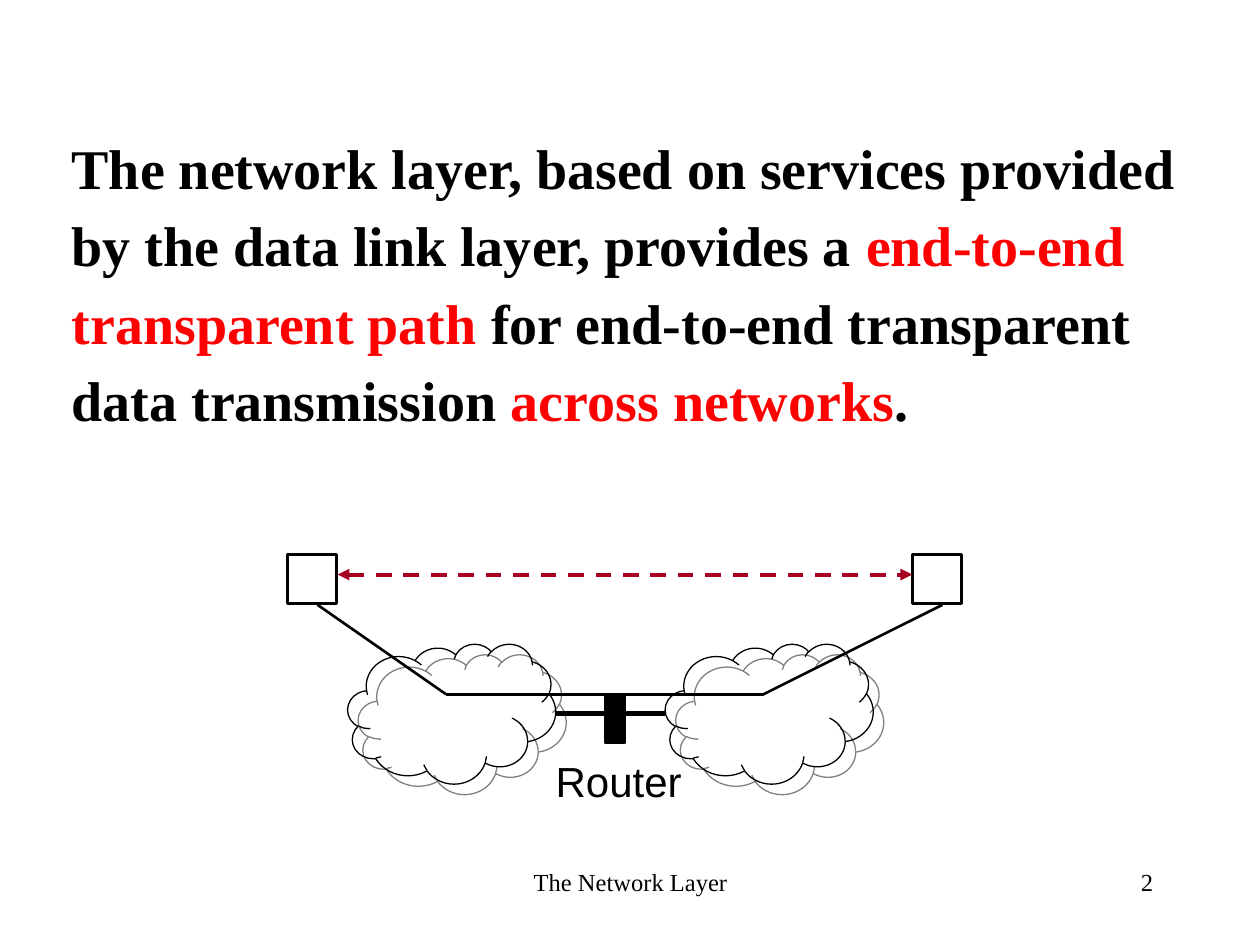
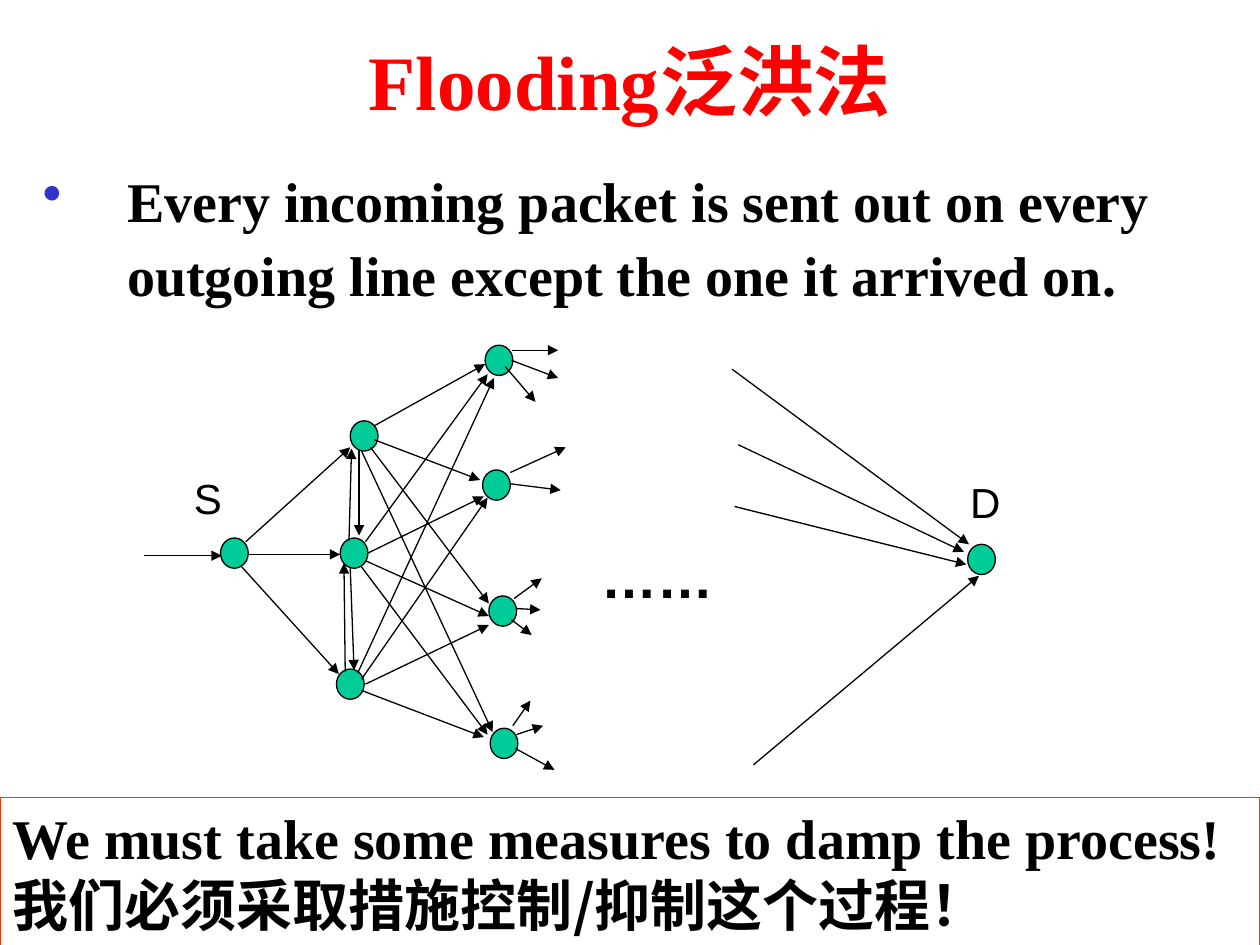
from itertools import pairwise

from lxml.etree import SubElement
from pptx import Presentation
from pptx.dml.color import RGBColor
from pptx.enum.dml import MSO_LINE
from pptx.enum.shapes import MSO_CONNECTOR, MSO_SHAPE
from pptx.enum.text import MSO_ANCHOR, MSO_AUTO_SIZE, PP_ALIGN
from pptx.oxml.ns import qn
from pptx.util import Inches, Pt

COLORS = {
    "black": "000000",
    "white": "FFFFFF",
    "red": "FF0000",
    "crimson": "A50021",
    "orange": "FF3300",
    "node": "00CC99",
    "bullet": "3333CC",
    "shadow": "808080",
}
SERIF, SANS, CHINESE = "Times New Roman", "Arial", "Noto Sans CJK SC"
TITLE_ONLY, BLANK = 5, 6


def rgb(name):
    return RGBColor.from_string(COLORS[name])


def add_span(para, text, size, color="black", font=SERIF, bold=False):
    span = para.add_run()
    span.text = text
    span.font.size = Pt(size)
    span.font.name = font
    span.font.bold = bold
    span.font.color.rgb = rgb(color)
    east_asian = SubElement(span.font._element, qn("a:ea"))
    east_asian.set("typeface", CHINESE)


def add_text(page, box, spans, align=PP_ALIGN.LEFT, spacing=None, wrap=True):
    """Add a one-paragraph text box; each span is a tuple of add_span arguments."""
    frame = page.shapes.add_textbox(*map(Inches, box)).text_frame
    frame.word_wrap = wrap
    para = frame.paragraphs[0]
    para.alignment = align
    if spacing:
        para.line_spacing = spacing
    for span in spans:
        add_span(para, *span)
    return para


def add_label(page, box, text, size=24, bold=False):
    add_text(page, box, [(text, size, "black", SANS, bold)], PP_ALIGN.CENTER, wrap=False)


def add_outline(page, kind, box, fill=None, line="black", width=0.75):
    shape = page.shapes.add_shape(kind, *map(Inches, box))
    shape.shadow.inherit = False
    if fill:
        shape.fill.solid()
        shape.fill.fore_color.rgb = rgb(fill)
    else:
        shape.fill.background()
    shape.line.color.rgb = rgb(line)
    shape.line.width = Pt(width)
    return shape


def add_line(page, start, end, width=0.75, color="black", arrows=()):
    """Draw a straight line; arrows may name headEnd (start) and tailEnd (end)."""
    line = page.shapes.add_connector(MSO_CONNECTOR.STRAIGHT, *map(Inches, (*start, *end)))
    line.line.color.rgb = rgb(color)
    line.line.width = Pt(width)
    properties = line._element.spPr
    for arrow in arrows:
        SubElement(properties.find(qn("a:ln")), qn(f"a:{arrow}")).set("type", "triangle")
    SubElement(properties, qn("a:effectLst"))
    return line


def add_cloud(page, box):
    cloud = add_outline(page, MSO_SHAPE.CLOUD, box)
    effects = cloud._element.spPr.find(qn("a:effectLst"))
    shadow = SubElement(effects, qn("a:outerShdw"), dist=str(Pt(8.5)), dir="2700000",
                        algn="ctr", rotWithShape="0")
    SubElement(shadow, qn("a:srgbClr"), val=COLORS["shadow"])


def add_footer(page, text, number):
    add_text(page, (3.42, 6.83, 3.17, 0.5), [(text, 14)], PP_ALIGN.CENTER)
    add_text(page, (7.17, 6.83, 2.08, 0.5), [(number, 14)], PP_ALIGN.RIGHT)


def add_title(page, box, text):
    title = page.shapes.title
    title.left, title.top, title.width, title.height = map(Inches, box)
    title.text_frame.vertical_anchor = MSO_ANCHOR.MIDDLE
    para = title.text_frame.paragraphs[0]
    para.alignment = PP_ALIGN.CENTER
    add_span(para, text, 44, "red", bold=True)


def add_bullet(page, box, text):
    para = add_text(page, box, [(text, 32, "black", SERIF, True)], spacing=1.1)
    properties = para._p.get_or_add_pPr()
    properties.set("marL", str(Inches(0.67)))
    properties.set("indent", str(Inches(-0.67)))
    color = SubElement(properties, qn("a:buClr"))
    SubElement(color, qn("a:srgbClr"), val=COLORS["bullet"])
    SubElement(properties, qn("a:buChar"), char="•")


def add_warning(page, box):
    banner = add_outline(page, MSO_SHAPE.RECTANGLE, box, "white", "orange")
    frame = banner.text_frame
    frame.word_wrap = True
    frame.auto_size = MSO_AUTO_SIZE.SHAPE_TO_FIT_TEXT
    frame.vertical_anchor = MSO_ANCHOR.TOP
    para = frame.paragraphs[0]
    para.alignment = PP_ALIGN.LEFT
    add_span(para, "We must take some measures to damp the process!", 32, bold=True)
    add_span(para, "我们必须采取措施控制/抑制这个过程！", 32, font=CHINESE, bold=True)


def add_router_figure(page, left, top):
    """Two hosts joined through two clouds and the router between them."""
    def at(x, y):
        return left + x, top + y

    for x in (0.48, 3):
        add_cloud(page, (*at(x, 0.71), 1.65, 1.11))
    add_outline(page, MSO_SHAPE.RECTANGLE, (*at(2.52, 1.11), 0.16, 0.39), "black", width=1)
    for start, end in ((2.13, 2.52), (2.6, 3)):
        add_line(page, at(start, 1.26), at(end, 1.26), 3)
    for x in (0, 4.96):
        add_outline(page, MSO_SHAPE.RECTANGLE, (*at(x, 0), 0.39, 0.39), width=1.5)
    route = [(0.24, 0.4), (1.26, 1.11), (3.78, 1.11), (5.2, 0.4)]
    for start, end in pairwise(route):
        add_line(page, at(*start), at(*end), 1.5)
    direct = add_line(page, at(0.4, 0.16), at(4.96, 0.16), 2.25, "crimson")
    direct.line.dash_style = MSO_LINE.DASH
    for arrow in ("headEnd", "tailEnd"):
        SubElement(direct.line._ln, qn(f"a:{arrow}"), type="triangle")
    add_label(page, (*at(2.03, 1.55), 1.2, 0.5), "Router")


NODES = [
    (0.75, 1.77),
    (1.78, 0.84), (1.7, 1.77), (1.67, 2.81),
    (2.85, 0.24), (2.83, 1.23), (2.88, 2.23), (2.89, 3.28),
    (6.68, 1.82),
]
# Each arrow runs from (x1, y1) to (x2, y2) inside the flooding figure.
ARROWS = {
    "source": [(0.14, 1.91, 0.76, 1.91), (0.95, 1.8, 1.78, 1.05),
               (0.97, 1.9, 1.7, 1.9), (0.92, 2, 1.69, 2.85)],
    "upper relay": [(1.97, 0.88, 2.85, 0.39), (1.97, 0.99, 2.81, 1.31),
                    (1.94, 1.05, 2.88, 2.29), (1.87, 1.08, 2.91, 3.31)],
    "middle relay": [(1.9, 1.8, 2.87, 0.47), (1.92, 1.89, 2.84, 1.44),
                     (1.9, 1.95, 2.88, 2.39), (1.87, 2, 2.87, 3.33)],
    "lower relay": [(1.84, 2.84, 2.92, 0.5), (1.87, 2.89, 2.87, 1.45),
                    (1.9, 2.93, 2.88, 2.46), (1.87, 2.98, 2.84, 3.35)],
    "between relays": [(1.85, 1.07, 1.85, 1.75), (1.77, 1.79, 1.79, 1.06),
                       (1.78, 2.01, 1.81, 2.82), (1.74, 2.83, 1.73, 1.97)],
    "destination": [(4.81, 0.43, 6.69, 1.82), (4.86, 1.03, 6.65, 1.88),
                    (4.83, 1.52, 6.67, 1.98), (4.98, 3.57, 6.77, 2.07)],
    "onward": [(3.06, 0.28, 3.43, 0.28), (3.06, 0.36, 3.43, 0.5), (3.01, 0.41, 3.25, 0.69),
               (3.05, 1.25, 3.49, 1.05), (3.05, 1.34, 3.45, 1.39),
               (3.08, 2.25, 3.3, 2.09), (3.1, 2.33, 3.29, 2.34), (3.06, 2.42, 3.22, 2.54),
               (3.07, 3.26, 3.21, 3.06), (3.1, 3.33, 3.31, 3.26), (3.09, 3.44, 3.4, 3.61)],
}


def add_flooding_figure(page, left, top):
    """Packets spreading from S through relays towards D."""
    for x, y in NODES:
        add_outline(page, MSO_SHAPE.OVAL, (left + x, top + y, 0.22, 0.24), "node")
    for group in ARROWS.values():
        for x1, y1, x2, y2 in group:
            add_line(page, (left + x1, top + y1), (left + x2, top + y2), arrows=["tailEnd"])
    add_label(page, (left + 3.67, top + 1.76, 1.09, 0.63), "……", 32, True)
    add_label(page, (left + 0.44, top + 1.2, 0.42, 0.5), "S")
    add_label(page, (left + 6.6, top + 1.23, 0.44, 0.5), "D")


def build_service_slide(deck):
    page = deck.slides.add_slide(deck.slide_layouts[BLANK])
    add_footer(page, "The Network Layer", "2")
    statement = [
        ("The network layer, based on services provided by the data link layer, provides a ",
         "black"),
        ("end-to-end transparent path ", "red"),
        ("for end-to-end transparent data transmission ", "black"),
        ("across networks", "red"),
        (".", "black"),
    ]
    spans = [(text, 32, color, SERIF, True) for text, color in statement]
    add_text(page, (0.47, 0.93, 9.33, 2.58), spans, spacing=1.15)
    add_router_figure(page, 2.28, 4.4)


def build_flooding_slide(deck):
    page = deck.slides.add_slide(deck.slide_layouts[TITLE_ONLY])
    add_title(page, (0, 0, 10, 1.26), "Flooding泛洪法")
    add_bullet(page, (0.24, 1.22, 9.58, 4.99),
               "Every incoming packet is sent out on every outgoing line "
               "except the one it arrived on.")
    add_flooding_figure(page, 1, 2.5)
    add_warning(page, (0, 6.33, 10, 1.18))


def main():
    deck = Presentation()
    deck.slide_width, deck.slide_height = Inches(10), Inches(7.5)
    build_service_slide(deck)
    build_flooding_slide(deck)
    deck.save("out.pptx")


if __name__ == "__main__":
    main()
